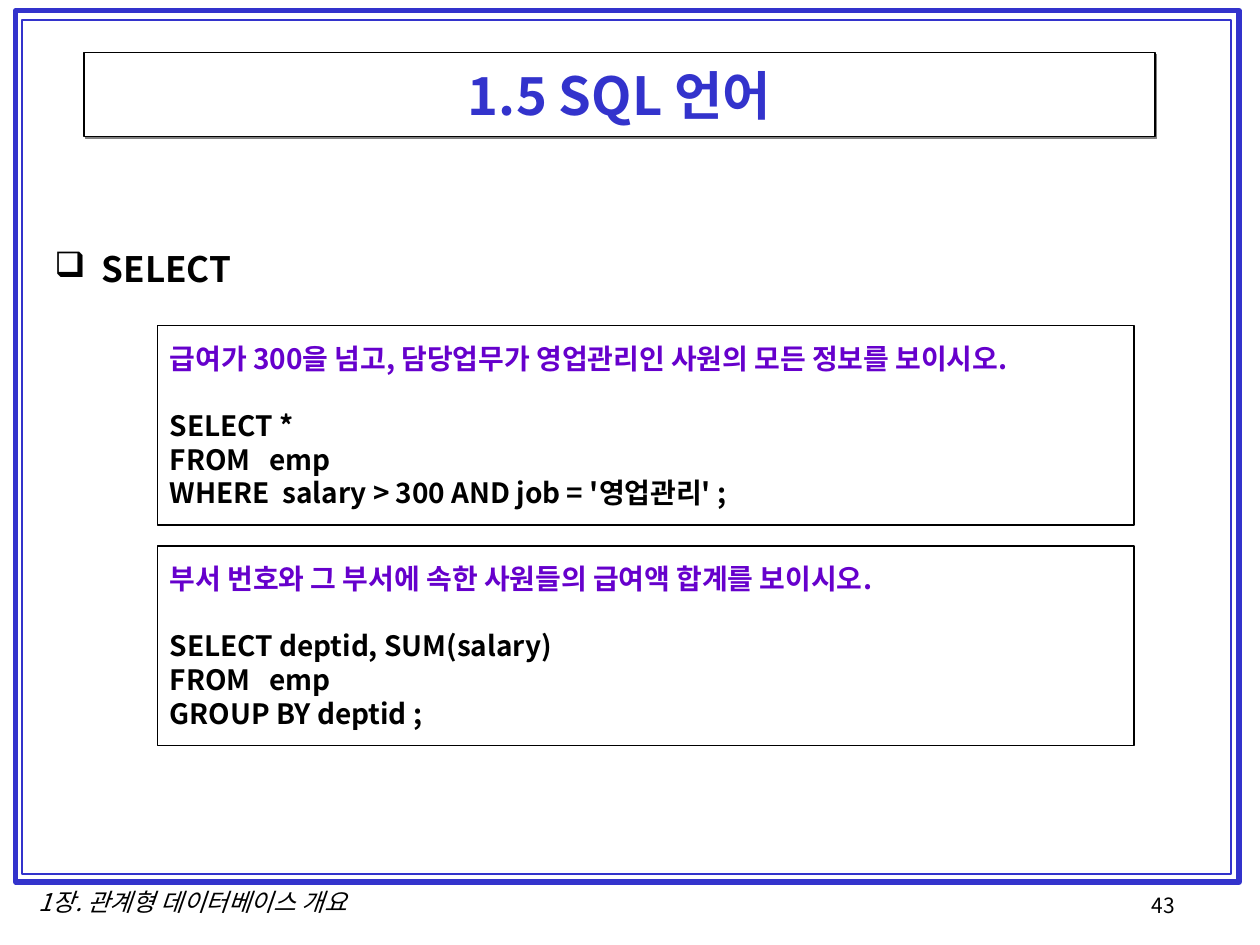
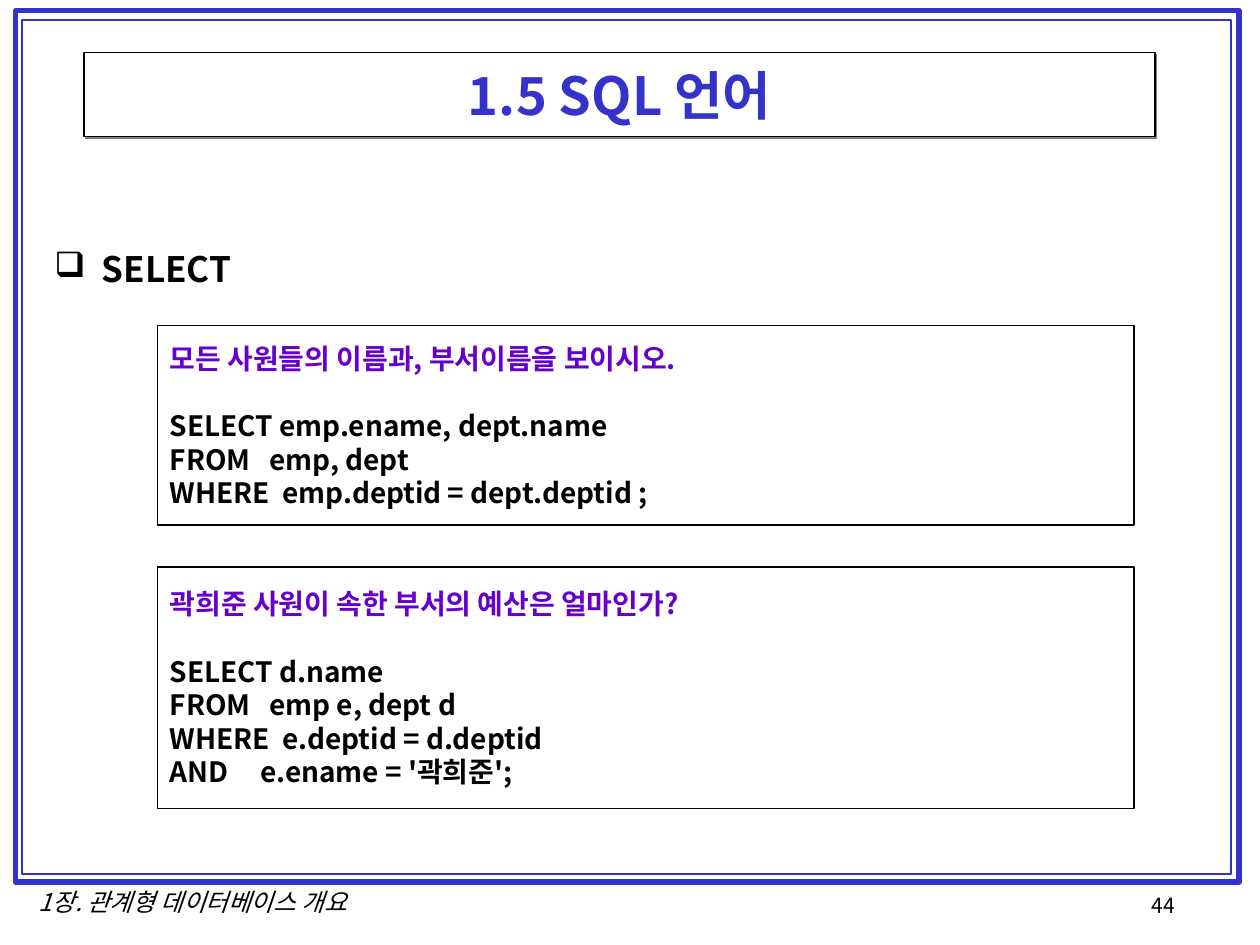
from lxml import etree
from pptx import Presentation
from pptx.dml.color import RGBColor
from pptx.enum.shapes import MSO_SHAPE
from pptx.enum.text import MSO_ANCHOR, PP_ALIGN
from pptx.oxml import parse_xml
from pptx.oxml.ns import nsdecls, qn
from pptx.util import Emu, Pt

RECT = MSO_SHAPE.RECTANGLE
TOP, MIDDLE = MSO_ANCHOR.TOP, MSO_ANCHOR.MIDDLE
LEFT, CENTER = PP_ALIGN.LEFT, PP_ALIGN.CENTER

FONT = "Noto Sans CJK KR"
BLUE = RGBColor(0x33, 0x33, 0xCC)
PURPLE = RGBColor(0x66, 0x00, 0xCC)
BLACK = RGBColor(0x00, 0x00, 0x00)
WHITE = RGBColor(0xFF, 0xFF, 0xFF)

# Content: each query is (top, height, question, SQL lines)
TITLE = "1.5 SQL 언어"
TOPIC = "SELECT"
FOOTER = "1장. 관계형 데이터베이스 개요"
SLIDES = [
    (43, [
        (248, 152, "급여가 300을 넘고, 담당업무가 영업관리인 사원의 모든 정보를 보이시오.",
         ["SELECT *",
          "FROM   emp",
          "WHERE  salary > 300 AND job = '영업관리' ;"]),
        (416, 152, "부서 번호와 그 부서에 속한 사원들의 급여액 합계를 보이시오.",
         ["SELECT deptid, SUM(salary)",
          "FROM   emp",
          "GROUP BY deptid ;"]),
    ]),
    (44, [
        (248, 152, "모든 사원들의 이름과, 부서이름을 보이시오.",
         ["SELECT emp.ename, dept.name",
          "FROM   emp, dept",
          "WHERE  emp.deptid = dept.deptid ;"]),
        (432, 184, "곽희준 사원이 속한 부서의 예산은 얼마인가?",
         ["SELECT d.name",
          "FROM   emp e, dept d",
          "WHERE  e.deptid = d.deptid",
          "AND     e.ename = '곽희준';"]),
    ]),
]

# Layout in px, 96 to the inch
PX = 9525
SLIDE_W, SLIDE_H = 960, 720
FRAMES = [((12, 8, 932, 664), 3), ((17, 15, 921, 651), 1)]
TITLE_BOX = (64, 40, 816, 64)
TOPIC_BOX = (32, 184, 896, 464)
FOOTER_BOX = (5, 671, 284, 33)
NUMBER_BOX = (868, 675, 98, 32)
QUERY_LEFT, QUERY_W = 120, 744
BULLET_INDENT = 36
QUERY_SIZE, QUERY_PITCH = 16, 19.2

SHADOW = (f'<a:effectLst {nsdecls("a")}><a:outerShdw dist="17960" dir="2700000" '
          'algn="ctr" rotWithShape="0"><a:srgbClr val="808080"/></a:outerShdw></a:effectLst>')


def px(box):
    return [Emu(v * PX) for v in box]


def add_rect(s, box, color, width, fill=None):
    sp = s.shapes.add_shape(RECT, *px(box))
    sp.shadow.inherit = False
    sp.line.color.rgb = color
    sp.line.width = Pt(width)
    if fill is None:
        sp.fill.background()
    else:
        sp.fill.solid()
        sp.fill.fore_color.rgb = fill
    return sp


def style(p, size, color=BLACK, bold=False, italic=False, align=LEFT):
    p.alignment = align
    for r in p.runs:
        r.font.size, r.font.bold, r.font.italic = Pt(size), bold, italic
        r.font.name = FONT
        r.font.color.rgb = color
        ea = etree.SubElement(r.font._element, qn("a:ea"))
        ea.set("typeface", FONT)


def add_text(s, box, text, size, wrap=True, **look):
    tf = s.shapes.add_textbox(*px(box)).text_frame
    tf.word_wrap = wrap
    tf.vertical_anchor = TOP
    tf.text = text
    style(tf.paragraphs[0], size, **look)
    return tf.paragraphs[0]


def add_bullet(p, char):
    pPr = p._p.get_or_add_pPr()
    pPr.set("marL", str(BULLET_INDENT * PX))
    pPr.set("indent", str(-BULLET_INDENT * PX))
    etree.SubElement(pPr, qn("a:buChar")).set("char", char)


def add_title(s):
    sp = add_rect(s, TITLE_BOX, BLACK, 0.75, WHITE)
    spPr = sp._element.spPr
    spPr.replace(spPr.find(qn("a:effectLst")), parse_xml(SHADOW))
    tf = sp.text_frame
    tf.vertical_anchor = MIDDLE
    tf.text = TITLE
    style(tf.paragraphs[0], 30, BLUE, bold=True, align=CENTER)


def add_query(s, top, height, question, sql):
    tf = add_rect(s, (QUERY_LEFT, top, QUERY_W, height), BLACK, 0.75).text_frame
    tf.word_wrap = True
    tf.vertical_anchor = MIDDLE
    tf.text = "\n".join([question, *sql])
    for i, p in enumerate(tf.paragraphs):
        style(p, QUERY_SIZE, BLACK if i else PURPLE, bold=True)
        p.line_spacing = Pt(QUERY_PITCH)
    # One line of space between the question and its SQL
    tf.paragraphs[1].space_before = Pt(QUERY_PITCH)


def add_base(prs, number):
    s = prs.slides.add_slide(prs.slide_layouts[6])
    add_text(s, NUMBER_BOX, str(number), 12, wrap=False)
    add_text(s, FOOTER_BOX, FOOTER, 14, wrap=False, italic=True, align=CENTER)
    for box, width in FRAMES:
        add_rect(s, box, BLUE, width)
    add_title(s)
    add_bullet(add_text(s, TOPIC_BOX, TOPIC, 20, bold=True), "❑")
    return s


def main():
    prs = Presentation()
    prs.slide_width, prs.slide_height = px((SLIDE_W, SLIDE_H))
    for number, queries in SLIDES:
        s = add_base(prs, number)
        for query in queries:
            add_query(s, *query)
    prs.save("out.pptx")


if __name__ == "__main__":
    main()
